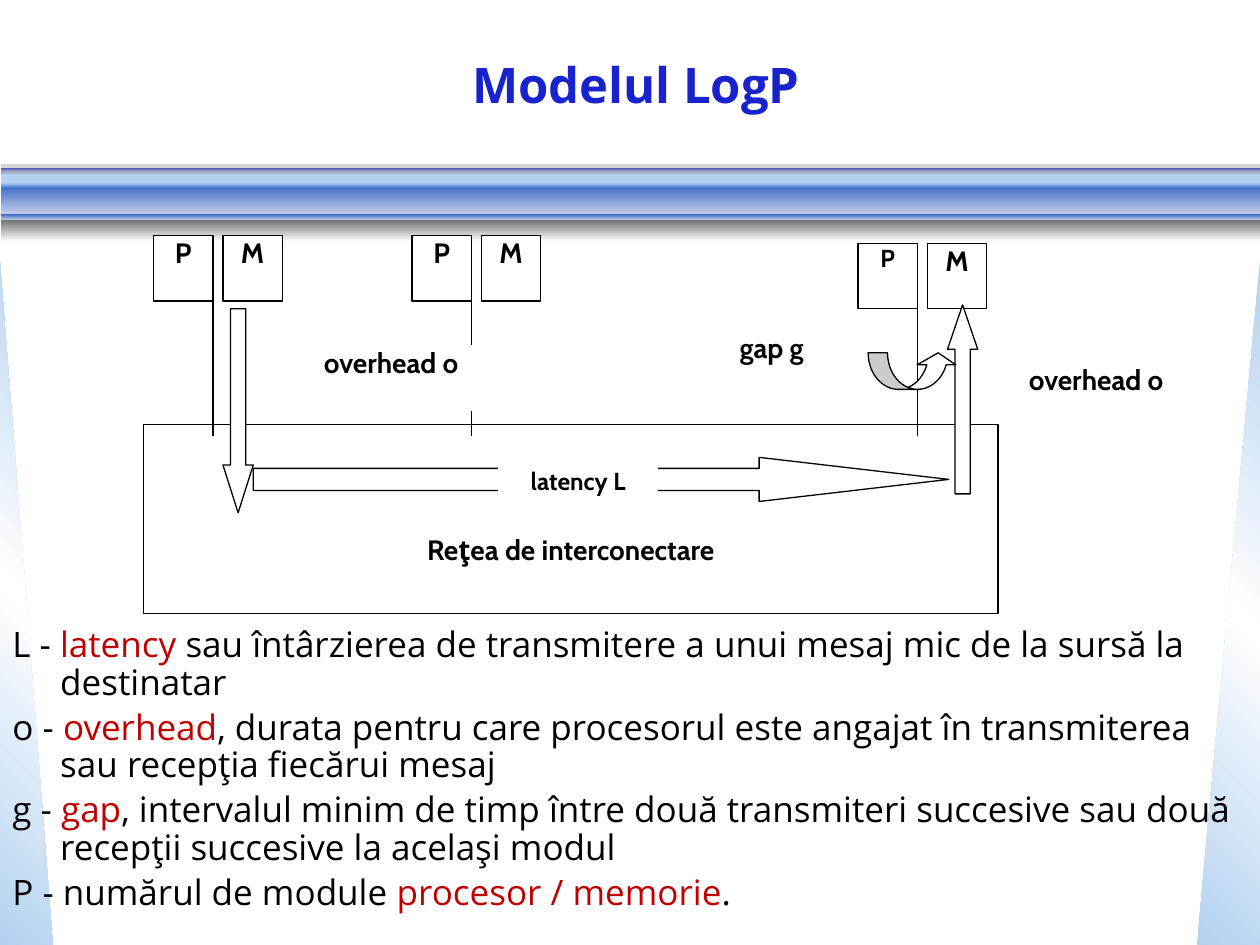
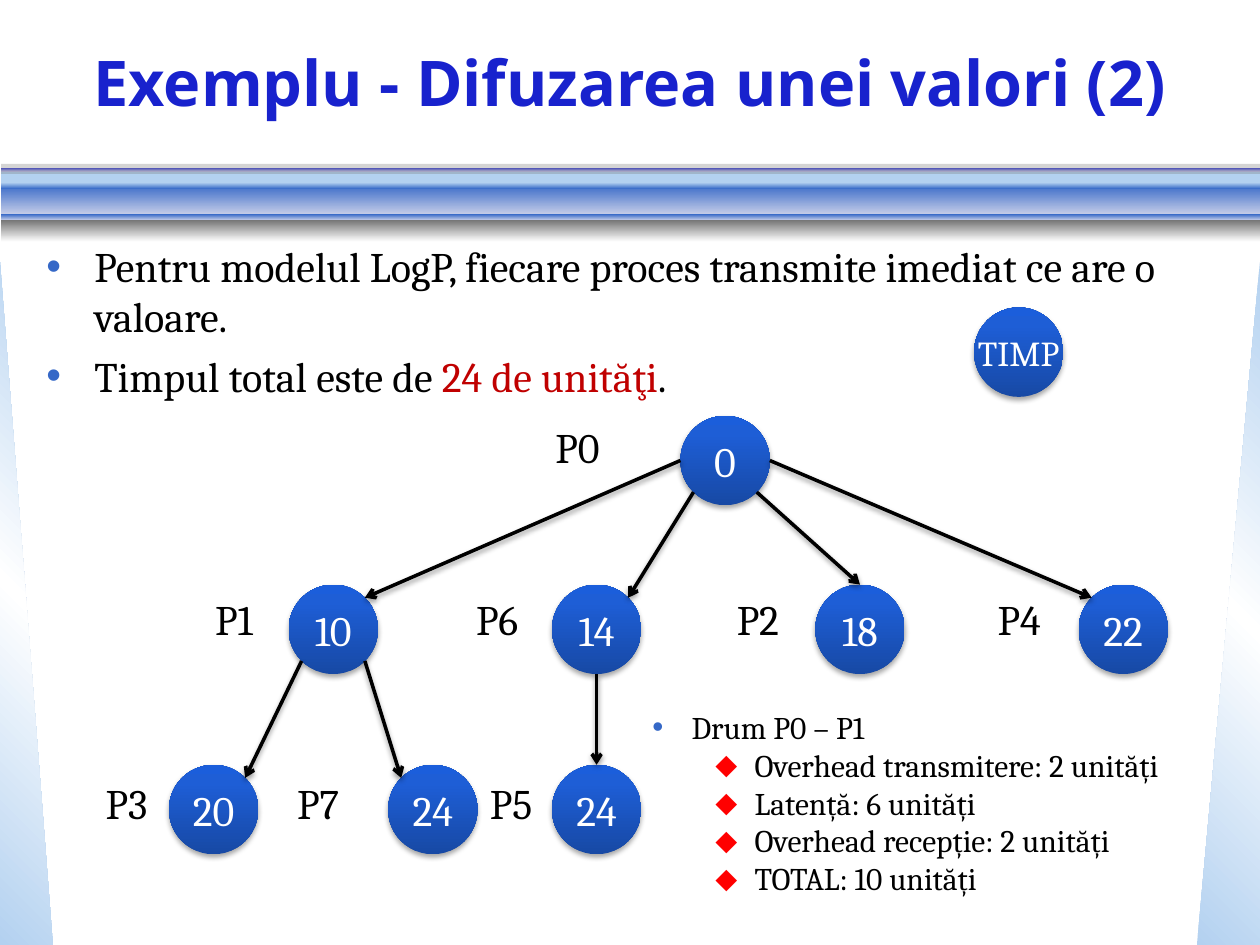
from dataclasses import dataclass
from math import cos, radians, sin

from lxml import etree
from pptx import Presentation
from pptx.dml.color import RGBColor
from pptx.enum.shapes import MSO_CONNECTOR, MSO_SHAPE
from pptx.enum.text import MSO_ANCHOR, PP_ALIGN
from pptx.oxml.ns import qn
from pptx.util import Inches, Pt

RECT, OVAL, WEDGE = MSO_SHAPE.RECTANGLE, MSO_SHAPE.OVAL, MSO_SHAPE.RIGHT_TRIANGLE
DOWN, RIGHT, UP = MSO_SHAPE.DOWN_ARROW, MSO_SHAPE.RIGHT_ARROW, MSO_SHAPE.UP_ARROW
CURVE = MSO_SHAPE.CURVED_UP_ARROW
LINE = MSO_CONNECTOR.STRAIGHT
TOP, MIDDLE = MSO_ANCHOR.TOP, MSO_ANCHOR.MIDDLE
LEFT, CENTER = PP_ALIGN.LEFT, PP_ALIGN.CENTER
COLS, ROWS = 10, 7.5


@dataclass(frozen=True)
class Theme:
    black: str = "000000"
    white: str = "FFFFFF"
    title: str = "1822CD"
    key: str = "C00000"
    blue: str = "3568C7"
    sky: str = "B3D1F0"
    pale: str = "CAD0E9"
    lilac: str = "BABBE7"
    gray: str = "777777"
    red: str = "FF0000"
    ball: tuple = ((0, "1749A5"), (80, "1E5ED6"), (100, "1B5EDB"))
    head: str = "Open Sans"
    label: str = "Cabin"
    body: str = "Cambria"
    small: int = 14
    mid: int = 16
    list: int = 18
    note: int = 20
    text: int = 24
    large: int = 28
    huge: int = 36
    thin: float = 0.75
    thick: float = 2


def child(parent, tag, **attrs):
    node = etree.SubElement(parent, qn("a:" + tag))
    for name, value in attrs.items():
        node.set(name, str(value))
    return node


class Deck:
    def __init__(self, theme):
        self.t = theme
        self.prs = Presentation()
        self.prs.slide_width, self.prs.slide_height = Inches(10), Inches(7.5)
        self.slide = None

    def x(self, cols):
        return round(self.prs.slide_width * cols / COLS)

    def y(self, rows):
        return round(self.prs.slide_height * rows / ROWS)

    def area(self, at):
        return self.x(at[0]), self.y(at[1]), self.x(at[2]), self.y(at[3])

    # Slide with the shared wedges, band and title
    def page(self, title, size, at):
        t = self.t
        self.slide = self.prs.slides.add_slide(self.prs.slide_layouts[6])
        sheen = ((0, t.sky), (50, t.white), (100, t.sky))
        self.shape(WEDGE, (0, 2.08, 0.42, 5.42), sheen, angle=315)
        wedge = self.shape(WEDGE, (9.5, 2.08, 0.5, 5.42), sheen, angle=45)
        wedge.element.spPr.xfrm.set("flipH", "1")
        for top, high, *ends in (
            (1.36, 0.1, t.sky, t.sky),
            (1.46, 0.25, t.blue, t.pale),
            (1.33, 0.03, t.title, t.lilac),
            (1.7, 0.05, t.blue, t.pale),
            (1.45, 0.05, t.sky, t.blue),
            (1.75, 0.17, t.gray, t.white),
        ):
            self.shape(RECT, (0.01, top, 9.99, high), tuple(zip((0, 100), ends)))
        veil = self.shape(RECT, (0.01, 1.3, 9.99, 0.08), t.gray)
        child(veil.element.spPr.find(".//" + qn("a:srgbClr")), "alpha", val=31000)
        self.text(at, [title], t.head, size, t.title, bold=True,
                  align=CENTER, anchor=MIDDLE)

    # Preset shape; fill is a colour or a list of gradient stops
    def shape(self, kind, at, fill, line=None, angle=90, adjust=()):
        item = self.slide.shapes.add_shape(kind, *self.area(at))
        item.shadow.inherit = False
        for i, value in enumerate(adjust):
            item.adjustments[i] = value
        if isinstance(fill, str):
            item.fill.solid()
            item.fill.fore_color.rgb = RGBColor.from_string(fill)
        else:
            item.fill.gradient()
            item.fill.gradient_angle = 360 - angle
            stops = item.element.spPr.find(".//" + qn("a:gsLst"))
            for old in list(stops):
                stops.remove(old)
            for pos, color in fill:
                child(child(stops, "gs", pos=pos * 1000), "srgbClr", val=color)
        if line:
            self.pen(item.line, line, self.t.thin)
        else:
            item.line.fill.background()
        return item

    def pen(self, line, color, width):
        line.color.rgb = RGBColor.from_string(color)
        line.width = Pt(width)

    def shade(self, effects, alpha, drop):
        cast = child(effects, "outerShdw", blurRad=Pt(3.1), dist=Pt(drop),
                     dir=5400000, rotWithShape=0)
        child(child(cast, "srgbClr", val=self.t.black), "alpha", val=alpha * 1000)

    # Straight line, with an arrowhead and shadow when it is an arrow
    def line(self, start, end, arrow=False):
        item = self.slide.shapes.add_connector(
            LINE, self.x(start[0]), self.y(start[1]), self.x(end[0]), self.y(end[1]))
        self.pen(item.line, self.t.black, self.t.thick if arrow else self.t.thin)
        props = item.element.spPr
        effects = child(props, "effectLst")
        if arrow:
            child(props.find(qn("a:ln")), "tailEnd", type="arrow")
            self.shade(effects, 38, 1.6)

    def text(self, at, lines, font, size, color, **style):
        frame = self.slide.shapes.add_textbox(*self.area(at)).text_frame
        self.words(frame, lines, font, size, color, **style)

    # Paragraphs; words between asterisks take the key colour
    def words(self, frame, lines, font, size, color, bold=False, align=LEFT,
              anchor=TOP, wrap=True, hang=0, before=0, pitch=None, marks=()):
        frame.word_wrap = wrap
        frame.vertical_anchor = anchor
        for i, line in enumerate(lines):
            par = frame.paragraphs[0] if i == 0 else frame.add_paragraph()
            par.alignment = align
            par.space_before = Pt(before)
            if pitch:
                par.line_spacing = pitch
            if hang:
                level = min(i, len(marks) - 1) if marks else 0
                par.level = level
                props = par._p.get_or_add_pPr()
                props.set("marL", str(self.x(hang + level / 2)))
                props.set("indent", str(-self.x(hang)))
                if marks:
                    sign, tint = marks[level]
                    child(child(props, "buClr"), "srgbClr", val=tint)
                    child(props, "buFont", typeface="Arial")
                    child(props, "buChar", char=sign)
            par.font.name, par.font.size, par.font.bold = font, Pt(size), bold
            par.font.color.rgb = RGBColor.from_string(color)
            for j, part in enumerate(line.split("*")):
                if part:
                    run = par.add_run()
                    run.text = part
                    if j % 2:
                        run.font.color.rgb = RGBColor.from_string(self.t.key)

    # White box with a bold label
    def box(self, at, label, size=None, line=None, inset=0, align=CENTER):
        t = self.t
        frame = self.shape(RECT, at, t.white, line or t.black).text_frame
        frame.margin_left = frame.margin_right = frame.margin_bottom = 0
        frame.margin_top = self.y(inset)
        self.words(frame, [label], t.label, size or t.mid, t.black,
                   bold=True, align=align)

    # White block arrow
    def block(self, kind, at, *adjust):
        self.shape(kind, at, self.t.white, self.t.black, adjust=adjust)

    # Shaded ball with a number or word
    def ball(self, spot, label, size):
        t = self.t
        item = self.shape(OVAL, (*spot, BALL, BALL), t.ball, angle=270)
        self.shade(item.element.spPr.find(qn("a:effectLst")), 35, 1.8)
        frame = item.text_frame
        frame.margin_left = frame.margin_right = 0
        self.words(frame, [label], t.body, size, t.white,
                   align=CENTER, anchor=MIDDLE, wrap=False)


BALL = 0.71
theme = Theme()
deck = Deck(theme)

# Slide 1: the LogP model
deck.page("Modelul LogP", theme.large, (0.17, 0.08, 9.75, 1.17))
pairs = ((1.22, 1.87, theme.mid), (3.27, 1.87, theme.mid), (6.81, 1.93, theme.small))
for left, top, size in pairs:
    deck.box((left, top, 0.47, 0.52), "P", size)
    deck.box((left + 0.55, top, 0.47, 0.52), "M")
deck.box((1.14, 3.37, 6.78, 1.5), "Reţea de interconectare", inset=0.86)
for left, top, size in pairs:
    deck.line((left + 0.47, top + 0.49), (left + 0.47, 3.46))

# Message flow and its costs
deck.block(DOWN, (1.77, 2.45, 0.24, 1.62), 0.5, 1.58)
deck.block(RIGHT, (2.01, 3.63, 5.52, 0.35), 0.5, 4.3)
deck.block(UP, (7.52, 2.42, 0.24, 1.5), 0.5, 1.47)
deck.box((2.09, 2.74, 2.03, 0.52), "overhead o", line=theme.white)
deck.box((7.76, 2.88, 1.88, 0.38), "overhead o", line=theme.white)
deck.block(CURVE, (6.89, 2.8, 0.71, 0.29), 0.53, 1.06, 0.33)
deck.box((5.87, 2.62, 0.87, 0.4), "gap g", line=theme.white, align=LEFT)
deck.box((3.96, 3.7, 1.26, 0.26), "latency L", theme.small, theme.white)

deck.text((0, 4.93, 10, 2.57), [
    "L - *latency *sau întârzierea de transmitere a unui mesaj mic de la sursă "
    "la destinatar",
    "o - *overhead*, durata pentru care procesorul este angajat în transmiterea "
    "sau recepţia fiecărui mesaj",
    "g - *gap*, intervalul minim de timp între două transmiteri succesive sau "
    "două recepţii succesive la acelaşi modul",
    "P - numărul de module *procesor / memorie*.",
], theme.head, theme.note, theme.black, hang=0.38, before=4, pitch=0.9)

# Slide 2: broadcast tree
deck.page("Exemplu - Difuzarea unei valori (2)", theme.huge, (0, 0.38, 10, 0.53))
dot = ("•", theme.blue)
deck.text((0.27, 1.86, 9.17, 1.39), [
    "Pentru modelul LogP, fiecare proces transmite imediat ce are o valoare.",
    "Timpul total este de *24 de unităţi*.",
], theme.body, theme.text, theme.black, hang=0.38, before=5, marks=(dot,))
deck.ball((7.73, 2.44), "TIMP", theme.note)

# Nodes: time, ball place, label place
nodes = {"P0": ("0", (5.4, 3.3), (4.31, 3.3))}
for i, (name, time) in enumerate((("P1", 10), ("P6", 14), ("P2", 18), ("P4", 22))):
    nodes[name] = (str(time), (2.29 + 2.09 * i, 4.64), (1.61 + 2.07 * i, 4.66))
for name, time, left, tag in (("P3", 20, 1.34, 0.74), ("P7", 24, 3.08, 2.26),
                              ("P5", 24, 4.38, 3.79)):
    nodes[name] = (str(time), (left, 6.07), (tag, 6.12))
for name, (time, spot, tag) in nodes.items():
    deck.ball(spot, time, theme.text)
    deck.text((*tag, 0.56, 0.5), [name], theme.body, theme.text, theme.black,
              wrap=False)


def rim(name, angle):
    left, top = nodes[name][1]
    half, turn = BALL / 2, radians(angle)
    return left + half * (1 + cos(turn)), top + half * (1 + sin(turn))


# Edges leave and enter at clockwise angles from the right
for start, out, end, into in (
    ("P0", 180, "P1", 315), ("P0", 135, "P6", 315), ("P0", 45, "P2", 270),
    ("P0", 0, "P4", 225), ("P1", 135, "P3", 315), ("P1", 45, "P7", 225),
    ("P6", 90, "P5", 270),
):
    deck.line(rim(start, out), rim(end, into), arrow=True)

deck.text((5.08, 5.57, 4.59, 1.92), [
    "Drum P0 – P1",
    "Overhead transmitere: 2 unități",
    "Latență: 6 unități",
    "Overhead recepție: 2 unități",
    "TOTAL: 10 unități",
], theme.body, theme.list, theme.black, hang=0.31, marks=(dot, ("⬥", theme.red)))

deck.prs.save("out.pptx")
